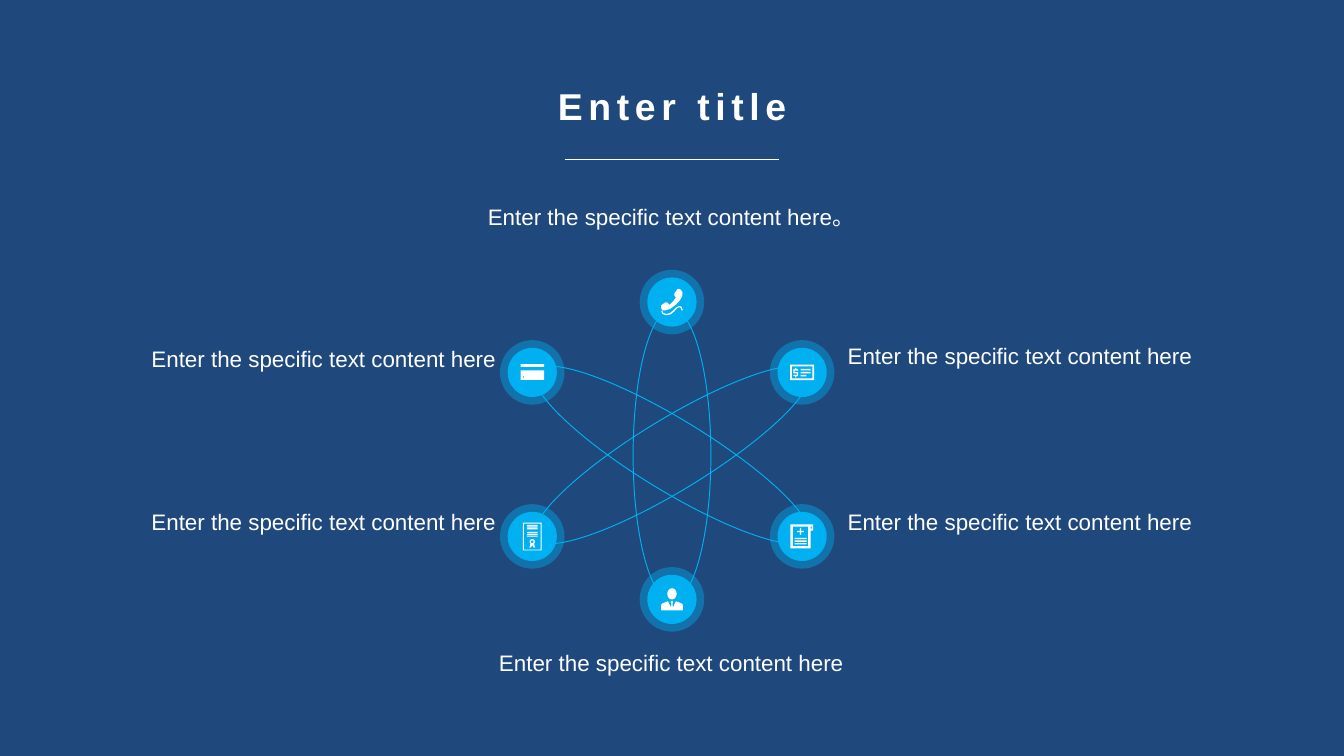
from math import cos, pi, sin

from lxml import etree
from pptx import Presentation
from pptx.dml.color import RGBColor
from pptx.enum.shapes import MSO_CONNECTOR, MSO_SHAPE
from pptx.enum.text import MSO_AUTO_SIZE, PP_ALIGN
from pptx.oxml.ns import qn
from pptx.util import Cm, Pt

NAVY = RGBColor(0x1F, 0x49, 0x7D)
CYAN = RGBColor(0x00, 0xB0, 0xF0)
WHITE = RGBColor(0xFF, 0xFF, 0xFF)

OVAL = MSO_SHAPE.OVAL
STRAIGHT = MSO_CONNECTOR.STRAIGHT
FIT = MSO_AUTO_SIZE.SHAPE_TO_FIT_TEXT
LEFT, CENTER, RIGHT = PP_ALIGN.LEFT, PP_ALIGN.CENTER, PP_ALIGN.RIGHT

ICON_UNIT = Cm(0.001)  # icon outlines are in hundredths of a millimetre


class Deck:
    """Style and current slide, with one method per kind of element."""

    font = "Arial"

    def __init__(self, prs):
        self.slide = prs.slides.add_slide(prs.slide_layouts[6])
        self.shapes = self.slide.shapes
        fill = self.slide.background.fill
        fill.solid()
        fill.fore_color.rgb = NAVY

    def text(self, x, y, w, h, text, align, size=12, bold=False,
             line_spacing=1.2, tracking=0):
        sp = self.shapes.add_textbox(Cm(x), Cm(y), Cm(w), Cm(h))
        tf = sp.text_frame
        tf.word_wrap = True
        tf.auto_size = FIT
        p = tf.paragraphs[0]
        p.text = text
        p.alignment = align
        p.line_spacing = line_spacing
        r = p.runs[0]
        r.font.name = self.font
        r.font.size = Pt(size)
        r.font.bold = bold
        r.font.color.rgb = WHITE
        if tracking:
            r._r.get_or_add_rPr().set("spc", str(tracking * 100))

    def oval(self, cx, cy, w, h):
        sp = self.shapes.add_shape(
            OVAL, Cm(cx - w / 2), Cm(cy - h / 2), Cm(w), Cm(h))
        sp.shadow.inherit = False
        return sp

    def orbit(self, cx, cy, w, h, angle):
        sp = self.oval(cx, cy, w, h)
        sp.rotation = angle
        sp.fill.background()
        sp.line.color.rgb = CYAN
        sp.line.width = Pt(0.5)

    def disc(self, cx, cy, size, opacity=100):
        sp = self.oval(cx, cy, size, size)
        sp.fill.solid()
        sp.fill.fore_color.rgb = CYAN
        sp.line.fill.background()
        if opacity < 100:
            color = sp._element.spPr.find(".//" + qn("a:srgbClr"))
            etree.SubElement(color, qn("a:alpha"), val=str(opacity * 1000))

    def icon(self, cx, cy, contours):
        """One shape from closed contours; a contour within another is a hole."""
        builder = self.shapes.build_freeform(*contours[0][0], scale=ICON_UNIT)
        builder.add_line_segments(contours[0][1:], close=True)
        for contour in contours[1:]:
            builder.move_to(*contour[0])
            builder.add_line_segments(contour[1:], close=True)
        sp = builder.convert_to_shape(Cm(cx), Cm(cy))
        sp.shadow.inherit = False
        sp.fill.solid()
        sp.fill.fore_color.rgb = WHITE
        sp.line.fill.background()

    def rule(self, x1, x2, y):
        line = self.shapes.add_connector(STRAIGHT, Cm(x1), Cm(y), Cm(x2), Cm(y))
        line.line.color.rgb = WHITE
        line.line.width = Pt(0.75)
        etree.SubElement(line._element.spPr, qn("a:effectLst"))


# Icon contours, measured from the disc centre
def box(x1, y1, x2, y2):
    return [(x1, y1), (x2, y1), (x2, y2), (x1, y2)]


def ring(cx, cy, rx, ry, steps=32):
    angles = [2 * pi * i / steps for i in range(steps)]
    return [(cx + rx * cos(a), cy + ry * sin(a)) for a in angles]


def mirrored(half):
    """Complete a left half outline with its reflection."""
    return half + [(-x, y) for x, y in reversed(half)]


PHONE = [
    [(-203, 60), (-127, 8), (-80, 10), (-50, 55), (25, -18), (76, -90),
     (45, -120), (45, -160), (100, -240), (140, -250), (178, -221),
     (200, -180), (195, -110), (155, -40), (85, 40), (-25, 125), (-127, 160),
     (-178, 160), (-205, 110)],
    [(-185, 165), (-165, 205), (-110, 225), (-40, 210), (20, 160), (75, 105),
     (135, 75), (185, 90), (205, 160), (180, 160), (165, 105), (130, 98),
     (90, 125), (40, 180), (-30, 235), (-110, 250), (-180, 225), (-205, 165)],
]
BANK_CARD = [
    box(-220, -157, 224, -106), box(-220, -40, 224, 140), ring(-165, 85, 14, 14),
]
CHEQUE = [
    box(-225, -145, 225, 145), box(-195, -115, 195, 115),
    box(-30, -68, 160, -40), box(-30, -10, 160, 18), box(-30, 47, 80, 75),
    [(-75, -60), (-165, -60), (-165, 20), (-100, 20), (-100, 45), (-165, 45),
     (-165, 70), (-75, 70), (-75, -5), (-140, -5), (-140, -35), (-75, -35)],
    box(-130, -85, -110, -60), box(-130, 70, -110, 95),
]
CERTIFICATE = [
    box(-175, -260, 175, 265), box(-157, -242, 157, 247),
    box(-95, -220, 100, -185), box(-95, -170, 100, -135),
    *[box(-95, y, 100, y + 20) for y in (-85, -50, -15)],
    ring(0, 100, 50, 50), ring(0, 100, 25, 25),
    mirrored([(0, 152), (-35, 140), (-55, 210), (-20, 205), (0, 155)]),
]
RECORD = [
    [(-220, -230), (210, -230), (210, -110), (160, -110), (160, 225),
     (-220, 225)],
    box(-175, -185, 115, 185), box(160, -185, 185, -150),
    *[box(-140, y, 85, y + 27) for y in (25, 75, 125)],
    [(-42, -160), (-18, -160), (-18, -107), (35, -107), (35, -83), (-18, -83),
     (-18, -30), (-42, -30), (-42, -83), (-95, -83), (-95, -107), (-42, -107)],
]
PERSON = [
    ring(0, -105, 88, 105),
    mirrored([(-205, 205), (-205, 100), (-180, 75), (-75, 35), (-20, 150),
              (-8, 85), (-25, 55), (-12, 30)]),
]


def main():
    prs = Presentation()
    prs.slide_width, prs.slide_height = Cm(25.4), Cm(14.29)
    deck = Deck(prs)

    # Heading
    deck.text(4.45, 1.45, 16.51, 1.12, "Enter title", CENTER, size=20,
              bold=True, line_spacing=1, tracking=3)
    deck.rule(10.67, 14.73, 3.02)

    # Orbits
    middle, orbit_y = 12.7, 8.6
    for w, h, angle in ((6.05, 1.35, 31.4), (6.05, 1.35, -31.4),
                        (5.51, 1.47, 90)):
        deck.orbit(middle, orbit_y, w, h, angle)

    # Nodes: disc centre, icon, label position and alignment
    caption = "Enter the specific text content here"
    west, east = 10.06, 15.16
    nodes = [
        (middle, 5.71, PHONE, 8.41, 3.61, CENTER, caption + "。"),
        (west, 7.04, BANK_CARD, 1.07, 6.3, RIGHT, caption),
        (east, 7.04, CHEQUE, 15.77, 6.25, LEFT, caption),
        (west, 10.14, CERTIFICATE, 1.07, 9.37, RIGHT, caption),
        (east, 10.14, RECORD, 15.77, 9.37, LEFT, caption),
        (middle, 11.33, PERSON, 8.41, 12.04, CENTER, caption),
    ]
    for cx, cy, icon, x, y, align, label in nodes:
        deck.disc(cx, cy, 1.22, opacity=40)
        deck.disc(cx, cy, 0.93)
        deck.icon(cx, cy, icon)
        deck.text(x, y, 8.56, 0.86, label, align)

    prs.save("out.pptx")


if __name__ == "__main__":
    main()
